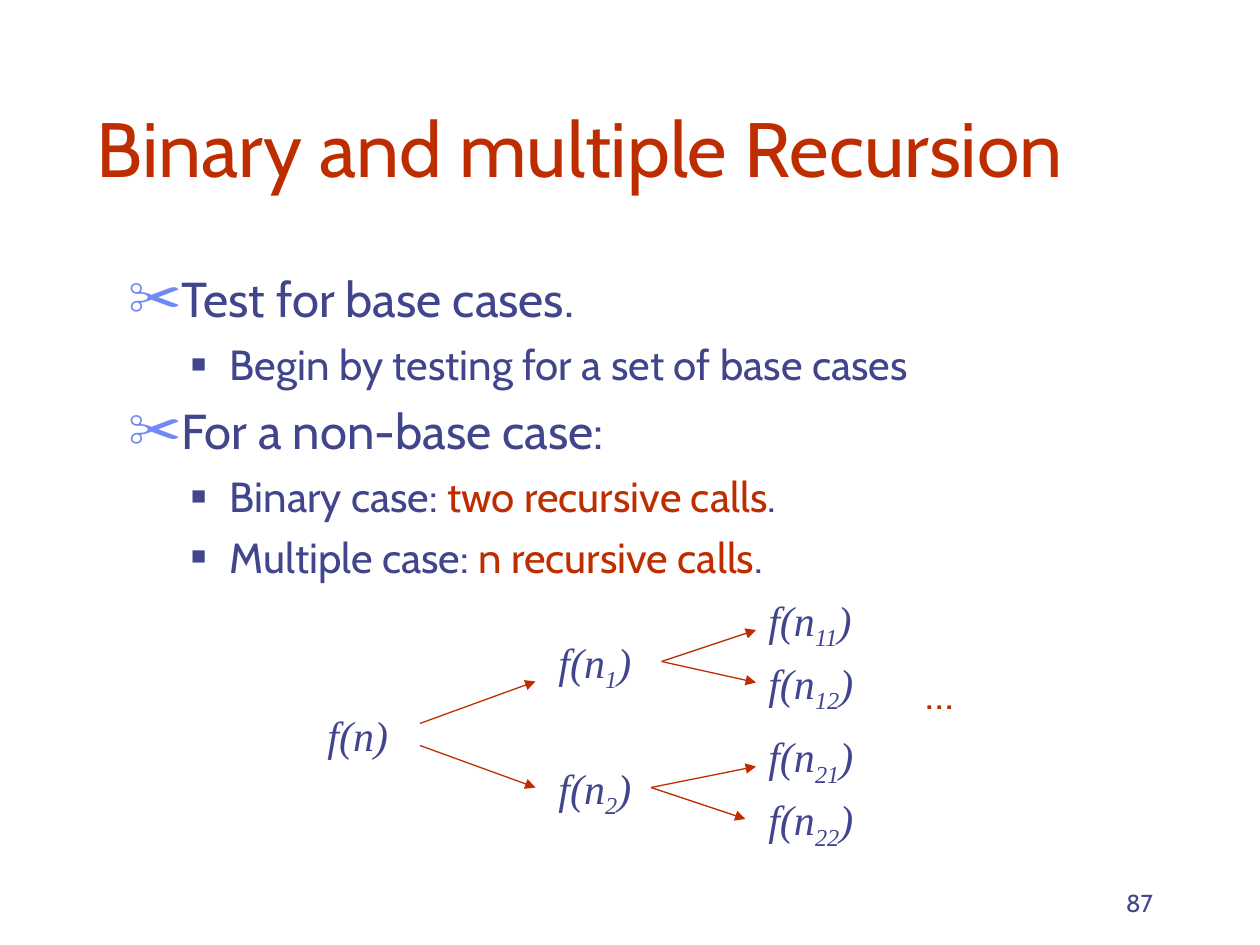
from dataclasses import dataclass

from lxml.etree import SubElement
from pptx import Presentation
from pptx.dml.color import RGBColor as RGB
from pptx.enum.shapes import MSO_CONNECTOR as CONN
from pptx.enum.text import MSO_ANCHOR as ANCHOR, MSO_AUTO_SIZE as FIT, PP_ALIGN as ALIGN
from pptx.oxml.ns import qn
from pptx.util import Pt

PX = 7620  # EMU per px, 120 px to the inch


@dataclass(frozen=True)
class Theme:
    ink: str = "40458C"
    accent: str = "BE2D00"
    bullet: str = "6F89F7"
    font: str = "Cabin"
    math_font: str = "Times New Roman"
    title: int = 44
    body: int = 28
    sub: int = 24
    number: int = 14
    line: float = 0.75


T = Theme()


def add_run(p, text, size, color=T.ink, font=T.font):
    r = p.add_run()
    r.text = text
    r.font.size = Pt(size)
    r.font.name = font
    r.font.color.rgb = RGB.from_string(color)
    return r


def add_box(shapes, x, y, w, h):
    """Add a wrapping text box and return its text frame."""
    tf = shapes.add_textbox(x * PX, y * PX, w * PX, h * PX).text_frame
    tf.word_wrap = True
    tf.auto_size = FIT.SHAPE_TO_FIT_TEXT
    return tf


prs = Presentation()
prs.slide_width, prs.slide_height = 1200 * PX, 900 * PX
slide = prs.slides.add_slide(prs.slide_layouts[1])
title, body = slide.placeholders

for sp, place in ((title, (80, 40, 1020, 150)), (body, (110, 250, 1020, 540))):
    sp.left, sp.top, sp.width, sp.height = (v * PX for v in place)
    sp.text_frame.auto_size = FIT.NONE

# Title
tf = title.text_frame
tf.vertical_anchor = ANCHOR.BOTTOM
p = tf.paragraphs[0]
p.alignment = ALIGN.LEFT
add_run(p, "Binary and multiple Recursion", T.title, T.accent)

# Bulleted list: level, then runs of text and colour
items = [
    (0, [("Test for base cases.", T.ink)]),
    (1, [("Begin by testing for a set of base cases", T.ink)]),
    (0, [("For a non-base case:", T.ink)]),
    (1, [("Binary case: ", T.ink), ("two recursive calls", T.accent), (".", T.ink)]),
    (1, [("Multiple case: ", T.ink), ("n recursive calls", T.accent), (".", T.ink)]),
]
# Per level: size, space before, left margin, indent, bullet, its colour and percent
levels = [
    (T.body, 7, 45, -45, "✂", T.bullet, 110),
    (T.sub, 6, 97, -37, "■", T.ink, 60),
]
tf = body.text_frame
for i, (level, runs) in enumerate(items):
    size, before, margin, indent, char, color, percent = levels[level]
    p = tf.add_paragraph() if i else tf.paragraphs[0]
    p.level = level
    pPr = p._p.get_or_add_pPr()
    pPr.set("marL", str(margin * PX))
    pPr.set("indent", str(indent * PX))
    SubElement(SubElement(pPr, qn("a:buClr")), qn("a:srgbClr"), val=color)
    SubElement(pPr, qn("a:buSzPct"), val=str(percent * 1000))
    SubElement(pPr, qn("a:buChar"), char=char)
    p.space_before = Pt(before if i else 0)
    for text, run_color in runs:
        add_run(p, text, size, run_color)

# Recursion tree: calls with their subscripts
tree = slide.shapes.add_group_shape().shapes
calls = [
    ("", 300, 670, 100, 60),
    ("1", 520, 600, 100, 67),
    ("2", 520, 720, 100, 67),
    ("11", 720, 560, 120, 67),
    ("12", 720, 620, 120, 67),
    ("21", 720, 690, 120, 67),
    ("22", 720, 750, 120, 67),
]
for index, *place in calls:
    p = add_box(tree, *place).paragraphs[0]
    parts = ("f(n", index, ")") if index else ("f(n)",)
    for text in parts:
        r = add_run(p, text, T.sub, font=T.math_font)
        r.font.italic = True
        if text == index:
            r._r.get_or_add_rPr().set("baseline", "-25000")

arrows = [
    (400, 689, 510, 649),
    (400, 710, 510, 750),
    (630, 630, 720, 600),
    (630, 630, 720, 650),
    (620, 750, 720, 730),
    (620, 750, 710, 780),
]
for ends in arrows:
    arrow = tree.add_connector(CONN.STRAIGHT, *(v * PX for v in ends))
    arrow.line.color.rgb = RGB.from_string(T.accent)
    arrow.line.width = Pt(T.line)
    SubElement(arrow.line._get_or_add_ln(), qn("a:tailEnd"), type="triangle")
    SubElement(arrow._element.spPr, qn("a:effectLst"))

tf = add_box(slide.shapes, 870, 630, 120, 60)
add_run(tf.paragraphs[0], "…", T.sub, T.accent)

# Slide number
tf = add_box(slide.shapes, 860, 820, 250, 60)
tf.auto_size = FIT.NONE
tf.vertical_anchor = ANCHOR.BOTTOM
p = tf.paragraphs[0]
p.alignment = ALIGN.RIGHT
add_run(p, "87", T.number)

prs.save("out.pptx")
